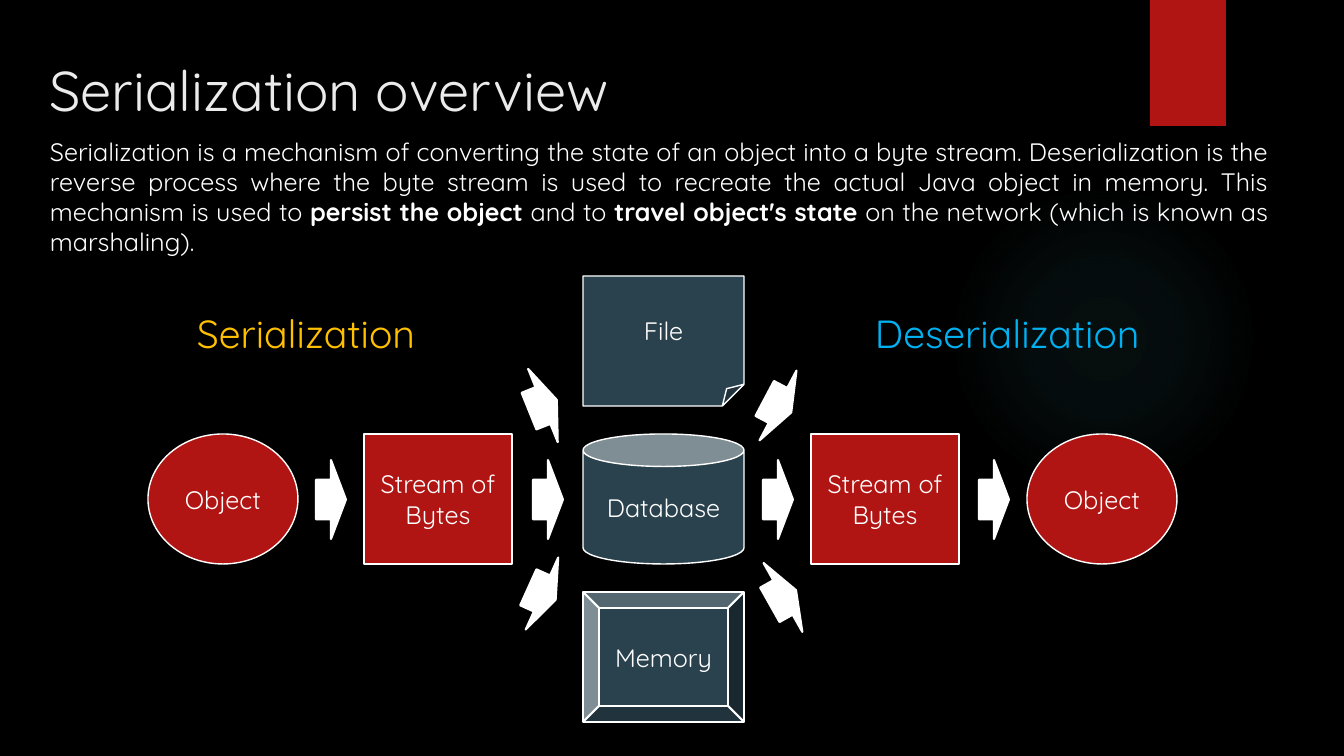
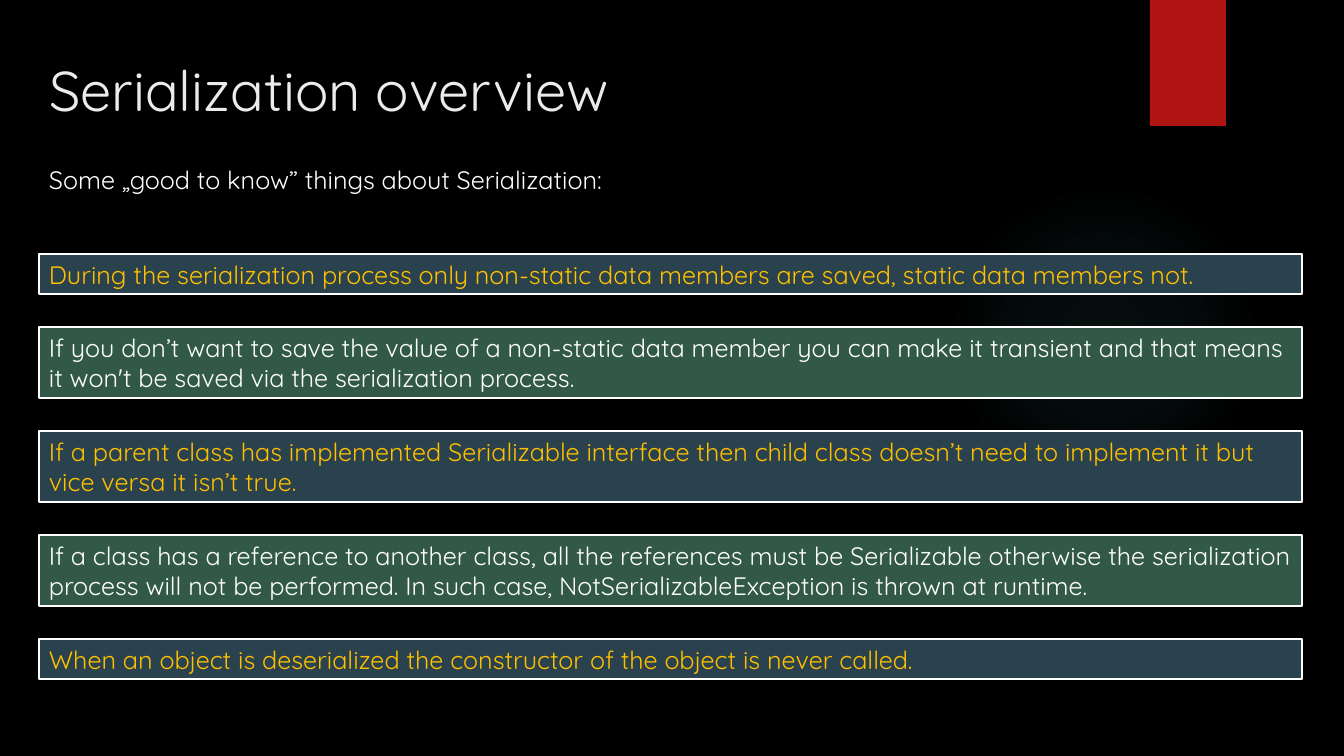
import pptx
import pptx.util
import pptx.dml.color
import pptx.enum.shapes
import pptx.enum.text
import pptx.oxml
import pptx.oxml.ns

PX = 12192000 / 1344
FONT = "Quicksand"
C = {
    "black": "000000", "white": "FFFFFF", "title": "EBEBEB", "red": "B01513",
    "slate": "2A424D", "green": "325948", "amber": "FFC000", "blue": "00B0F0",
    "glow": "50B9C1",
}
SHAPE = pptx.enum.shapes.MSO_SHAPE
ALIGN = pptx.enum.text.PP_ALIGN
ANCHOR = pptx.enum.text.MSO_ANCHOR
rgb = pptx.dml.color.RGBColor.from_string


def write(tf, runs, color="white", size=18, align=ALIGN.LEFT, anchor=ANCHOR.TOP):
    """Fill a text frame with one paragraph of (text, bold) runs."""
    tf.word_wrap = True
    tf.auto_size = pptx.enum.text.MSO_AUTO_SIZE.NONE
    tf.vertical_anchor = anchor
    p = tf.paragraphs[0]
    p.alignment = align
    for text, bold in runs:
        r = p.add_run()
        r.text = text
        r.font.name = FONT
        r.font.size = pptx.util.Pt(size)
        r.font.bold = bold
        r.font.color.rgb = rgb(C[color])


def add(s, kind, box, fill=None, line=None):
    """Add a preset shape, or a text box when kind is None; box is in px."""
    box = [round(v * PX) for v in box]
    if kind is None:
        return s.shapes.add_textbox(*box)
    sp = s.shapes.add_shape(kind, *box)
    sp.shadow.inherit = False
    if fill:
        sp.fill.solid()
        sp.fill.fore_color.rgb = rgb(C[fill])
    else:
        sp.fill.background()
    if line:
        sp.line.color.rgb = rgb(C["white"])
        sp.line.width = pptx.util.Pt(line)
    else:
        sp.line.fill.background()
    return sp


prs = pptx.Presentation()
prs.slide_width = round(1344 * PX)
prs.slide_height = round(756 * PX)

# Shared layout: background, title place, glow and red tab
layout = prs.slide_layouts[5]
layout.background.fill.solid()
layout.background.fill.fore_color.rgb = rgb(C["black"])
title = layout.placeholders[0]
title.left, title.top, title.width, title.height = [
    round(v * PX) for v in (39, 50, 1114, 89)]

slides = [prs.slides.add_slide(layout) for _ in range(2)]
for s in slides:
    write(s.shapes.title.text_frame, [("Serialization overview", False)], "title", 40)

overview, facts = slides
glow = add(overview, SHAPE.OVAL, (949, 184, 310, 310))
stops = "".join(
    f'<a:gs pos="{pos}000"><a:srgbClr val="{C["glow"]}"><a:alpha val="{alpha}000"/></a:srgbClr></a:gs>'
    for pos, alpha in ((0, 7), (36, 6), (69, 0)))
grad = pptx.oxml.parse_xml(
    f'<a:gradFill {pptx.oxml.ns.nsdecls("a")}><a:gsLst>{stops}</a:gsLst><a:path path="circle">'
    '<a:fillToRect l="50000" t="50000" r="50000" b="50000"/></a:path></a:gradFill>')
spPr = glow.element.spPr
spPr.replace(spPr.find(pptx.oxml.ns.qn("a:noFill")), grad)
tab = add(overview, SHAPE.RECTANGLE, (1150, 0, 76, 126), "red")
for sp in (glow, tab):
    layout.shapes.element.append(sp.element)

# Slide 1: introduction
intro = [
    ("Serialization is a mechanism of converting the state of an object into a byte stream. "
     "Deserialization is the reverse process where the byte stream is used to recreate the "
     "actual Java object in memory. This mechanism is used to ", False),
    ("persist the object ", True),
    ("and to ", False),
    ("travel object's state ", True),
    ("on the network (which is known as marshaling).", False),
]
write(add(overview, None, (40, 131, 1238, 132)).text_frame, intro, align=ALIGN.JUSTIFY)

# Slide 1: objects, streams and stores
MID, STEP, H = 434, 158, 130
nodes = [
    ("File", SHAPE.FOLDED_CORNER, 583, MID - STEP, 161, "slate", 1),
    ("Memory", SHAPE.BEVEL, 583, MID + STEP, 161, "slate", 1.5),
    ("Database", SHAPE.CAN, 583, MID, 161, "slate", 1),
    ("Stream of Bytes", SHAPE.RECTANGLE, 364, MID, 148, "red", 1),
    ("Stream of Bytes", SHAPE.RECTANGLE, 811, MID, 148, "red", 1),
    ("Object", SHAPE.OVAL, 148, MID, 150, "red", 1),
    ("Object", SHAPE.OVAL, 1027, MID, 150, "red", 1),
]
for text, kind, x, y, w, fill, line in nodes:
    sp = add(overview, kind, (x, y, w, H), fill, line)
    write(sp.text_frame, [(text, False)], align=ALIGN.CENTER, anchor=ANCHOR.MIDDLE)

# Slide 1: block arrows
arrows = [
    (316, 460, 0), (533, 460, 0), (763, 460, 0), (979, 460, 0),
    (528, 366, 338), (763, 366, 27.9), (527, 554, 24.3), (768, 558, 330.6),
]
for x, y, angle in arrows:
    sp = add(overview, SHAPE.RIGHT_ARROW, (x, y, 30, 79), "white", 1.5)
    sp.rotation = angle

# Slide 1: side headings
for text, x, w, color in (("Serialization", 187, 251, "amber"),
                          ("Deserialization", 865, 305, "blue")):
    write(add(overview, None, (x, 304, w, 57)).text_frame, [(text, False)], color, 28)

# Slide 2: lead-in
write(add(facts, None, (39, 159, 1238, 40)).text_frame,
      [("Some „good to know” things about Serialization:", False)], align=ALIGN.JUSTIFY)

# Slide 2: stacked facts in alternating colours
LINE_H = {1: 40, 2: 71}
GAP = 33
items = [
    (1, "During the serialization process only non-static data members are saved, "
        "static data members not."),
    (2, "If you don’t want to save the value of a non-static data member you can make it "
        "transient and that means it won't be saved via the serialization process."),
    (2, "If a parent class has implemented Serializable interface then child class doesn’t "
        "need to implement it but vice versa it isn’t true."),
    (2, "If a class has a reference to another class, all the references must be Serializable "
        "otherwise the serialization process will not be performed. In such case, "
        "NotSerializableException is thrown at runtime."),
    (1, "When an object is deserialized the constructor of the object is never called."),
]
styles = [("slate", "amber"), ("green", "white")]
y = 254
for i, (lines, text) in enumerate(items):
    fill, color = styles[i % 2]
    sp = add(facts, SHAPE.RECTANGLE, (39, y, 1263, LINE_H[lines]), fill, 1)
    write(sp.text_frame, [(text, False)], color)
    y += LINE_H[lines] + GAP

prs.save("out.pptx")
